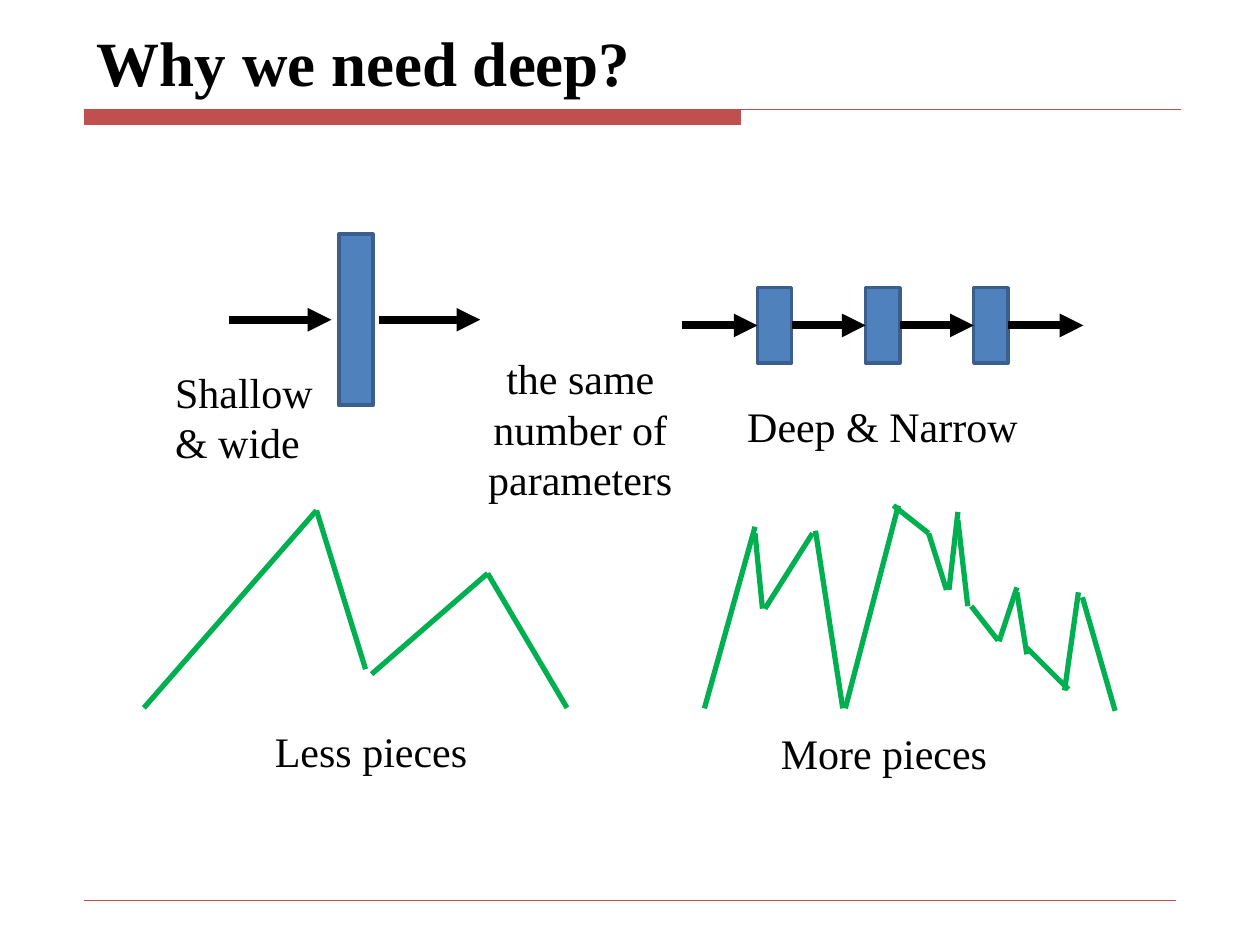
from lxml.etree import SubElement
from pptx import Presentation
from pptx.dml.color import RGBColor
from pptx.enum.shapes import MSO_CONNECTOR, MSO_SHAPE
from pptx.enum.text import MSO_ANCHOR, MSO_AUTO_SIZE, PP_ALIGN
from pptx.oxml.ns import qn
from pptx.util import Cm, Pt

BLACK = RGBColor(0x00, 0x00, 0x00)
RED = RGBColor(0xC0, 0x50, 0x4D)
GREEN = RGBColor(0x00, 0xB0, 0x50)
BLUE = RGBColor(0x4F, 0x81, 0xBD)
DARK_BLUE = RGBColor(0x3A, 0x5F, 0x8C)

TITLE_FONT = {"name": "Times New Roman", "size": Pt(36), "bold": True}
LABEL_FONT = {"name": "Times New Roman", "size": Pt(24), "bold": False}
LAYER_WIDTH = 0.69

FEW_PIECES = [
    ((0, 3.98), (3.48, 0)),
    ((4.47, 3.2), (3.48, 0)),
    ((4.59, 3.3), (6.93, 1.27)),
    ((8.53, 3.98), (6.93, 1.27)),
]
MANY_PIECES = [
    ((0, 4.09), (1.02, 0.43)),
    ((1.17, 2.08), (1.02, 0.56)),
    ((1.22, 2.08), (2.18, 0.56)),
    ((2.79, 4.09), (2.24, 0.51)),
    ((2.84, 4.09), (3.91, 0)),
    ((4.52, 0.56), (3.81, 0)),
    ((4.88, 1.7), (4.52, 0.56)),
    ((4.93, 1.7), (5.11, 0.13)),
    ((5.31, 2.03), (5.11, 0.3)),
    ((5.92, 2.72), (5.38, 2.03)),
    ((6.3, 1.65), (5.94, 2.74)),
    ((6.3, 1.75), (6.5, 3)),
    ((6.5, 2.87), (7.34, 3.71)),
    ((7.26, 3.73), (7.54, 1.75)),
    ((8.28, 4.14), (7.62, 1.85)),
]


def format_text(shape, text, font_values, alignment):
    frame = shape.text_frame
    frame.text = text
    frame.word_wrap = True
    paragraph = frame.paragraphs[0]
    paragraph.alignment = alignment
    for name, value in font_values.items():
        setattr(paragraph.font, name, value)
    paragraph.font.color.rgb = BLACK


def add_line(slide, start, end, color, width):
    line = slide.shapes.add_connector(
        MSO_CONNECTOR.STRAIGHT, *(Cm(value) for value in (*start, *end)))
    line.line.color.rgb = color
    line.line.width = Pt(width)
    SubElement(line._element.spPr, qn("a:effectLst"))
    return line


def add_arrow(slide, start, end):
    arrow = add_line(slide, start, end, BLACK, 4.5)
    SubElement(arrow.line._get_or_add_ln(), qn("a:tailEnd"), type="triangle")
    return arrow


def add_layer(slide, left, top, height):
    layer = slide.shapes.add_shape(
        MSO_SHAPE.RECTANGLE, Cm(left), Cm(top), Cm(LAYER_WIDTH), Cm(height))
    layer.shadow.inherit = False
    layer.fill.solid()
    layer.fill.fore_color.rgb = BLUE
    layer.line.color.rgb = DARK_BLUE
    layer.line.width = Pt(2)
    return layer


def add_label(slide, text, box, alignment=PP_ALIGN.CENTER):
    label = slide.shapes.add_textbox(*(Cm(value) for value in box))
    format_text(label, text, LABEL_FONT, alignment)
    label.text_frame.auto_size = MSO_AUTO_SIZE.SHAPE_TO_FIT_TEXT


def add_header(slide, text, box):
    left, top, width, height = box
    rule_top, bar_width, bar_height = top + 1.68, 13.23, 0.3
    builder = slide.shapes.build_freeform(Cm(left), Cm(rule_top))
    builder.add_line_segments([
        (Cm(left + bar_width), Cm(rule_top)),
        (Cm(left + bar_width), Cm(rule_top + bar_height)),
        (Cm(left), Cm(rule_top + bar_height)),
    ], close=True)
    builder.move_to(Cm(left), Cm(rule_top))
    builder.add_line_segments([(Cm(left + width - 0.1), Cm(rule_top))], close=False)
    rule = builder.convert_to_shape()
    rule.shadow.inherit = False
    rule.fill.solid()
    rule.fill.fore_color.rgb = RED
    rule.line.color.rgb = RED
    rule.line.width = Pt(0.75)

    title = slide.shapes.title
    for name, value in zip(("left", "top", "width", "height"), box):
        setattr(title, name, Cm(value))
    format_text(title, text, TITLE_FONT, PP_ALIGN.LEFT)
    title.text_frame.vertical_anchor = MSO_ANCHOR.BOTTOM
    title.text_frame.auto_size = MSO_AUTO_SIZE.NONE


def add_footer(slide, left, top, width):
    add_line(slide, (left, top), (left + width, top), RED, 0.25)


def add_curve(slide, left, top, pieces):
    for start, end in pieces:
        add_line(slide, (left + start[0], top + start[1]),
                 (left + end[0], top + end[1]), GREEN, 3)


def add_shallow_network(slide, box):
    left, top, width, height = box
    middle = top + height / 2
    add_layer(slide, left + 2.21, top, height)
    add_arrow(slide, (left, middle), (left + 2.06, middle))
    add_arrow(slide, (left + 3.03, middle), (left + width, middle))


def add_deep_network(slide, box, layer_count=3):
    left, top, width, height = box
    middle = top + height / 2
    lead, pitch = 1.53, 2.18
    layers = [add_layer(slide, left + lead + index * pitch, top, height)
              for index in range(layer_count)]
    for source, target in zip([None, *layers], [*layers, None]):
        arrow = add_arrow(slide, (left, middle), (left + width, middle))
        if source:
            arrow.begin_connect(source, 3)
        if target:
            arrow.end_connect(target, 1)


def main():
    presentation = Presentation()
    presentation.slide_width = Cm(25.4)
    presentation.slide_height = Cm(19.05)
    slide = presentation.slides.add_slide(presentation.slide_layouts[5])

    add_header(slide, "Why we need deep?", (1.7, 0.53, 22.2, 1.6))
    add_footer(slide, 1.7, 18.14, 22)
    add_curve(slide, 2.9, 10.29, FEW_PIECES)
    add_curve(slide, 14.2, 10.19, MANY_PIECES)
    add_label(slide, "Less pieces", (3.76, 14.5, 7.44, 1.27))
    add_label(slide, "More pieces", (14.1, 14.55, 7.44, 1.27))
    add_shallow_network(slide, (4.62, 4.72, 5.06, 3.45))
    add_deep_network(slide, (13.74, 5.8, 8.1, 1.52))
    add_label(slide, "Shallow & wide", (3.28, 7.26, 3.71, 2.31), PP_ALIGN.LEFT)
    add_label(slide, "Deep & Narrow", (14.55, 7.95, 6.48, 1.27))
    add_label(slide, "the same number of parameters", (9.45, 6.99, 4.5, 3.33))
    presentation.save("out.pptx")


if __name__ == "__main__":
    main()
